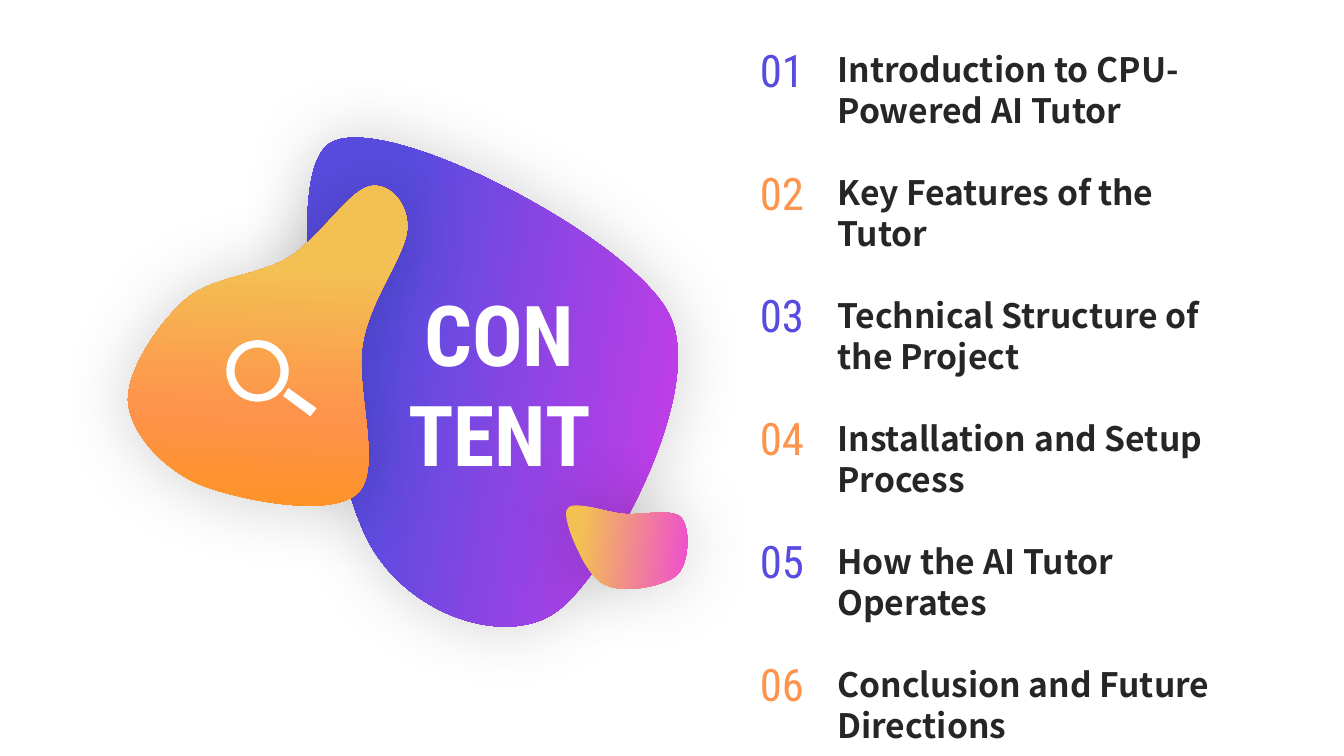
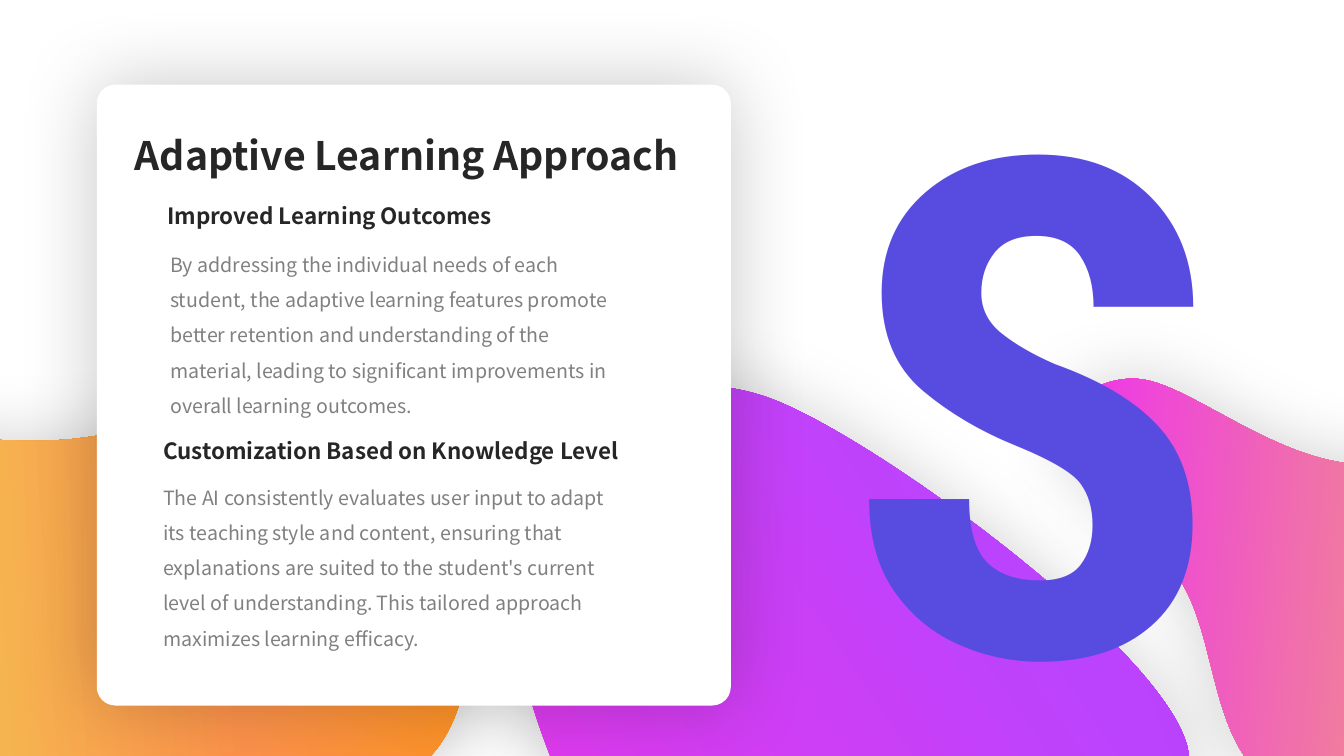
from dataclasses import dataclass
from math import cos, radians, sin

from lxml.etree import SubElement
from pptx import Presentation
from pptx.dml.color import RGBColor
from pptx.enum.shapes import MSO_SHAPE as Shape
from pptx.enum.text import MSO_AUTO_SIZE as Fit, PP_ALIGN as Align
from pptx.oxml.ns import qn
from pptx.util import Cm, Pt


@dataclass(frozen=True)
class Theme:
    blue: str = "584CE0"
    pink: str = "EE37E9"
    violet: str = "BB43FD"
    amber: str = "FF9409"
    coral: str = "FE934B"
    gold: str = "F3C053"
    ink: str = "262626"
    grey: str = "808080"
    white: str = "FFFFFF"
    body: str = "Noto Sans CJK SC"
    head: str = "Roboto Condensed"
    giant: int = 496
    cover: int = 60
    number: int = 32
    title: int = 28
    topic: int = 24
    sub: int = 16
    text: int = 14


T = Theme()
SUNSET = [(0, T.amber), (38, T.coral), (71, T.gold)]

TOPICS = [
    "Introduction to CPU-Powered AI Tutor",
    "Key Features of the Tutor",
    "Technical Structure of the Project",
    "Installation and Setup Process",
    "How the AI Tutor Operates",
    "Conclusion and Future Directions",
]

HEADING = "Adaptive Learning Approach"
POINTS = [
    ("Improved Learning Outcomes", (1.56, 1.96, 4.78, 0.37),
     "By addressing the individual needs of each student, the adaptive "
     "learning features promote better retention and understanding of the "
     "material, leading to significant improvements in overall learning "
     "outcomes.", (1.59, 2.34, 4.78, 1.68)),
    ("Customization Based on Knowledge Level", (1.52, 4.29, 5.33, 0.37),
     "The AI consistently evaluates user input to adapt its teaching style "
     "and content, ensuring that explanations are suited to the student's "
     "current level of understanding. This tailored approach maximizes "
     "learning efficacy.", (1.52, 4.65, 4.78, 1.68)),
]

COVER_BLOBS = [
    dict(at=(2.11, 1.68, 5.08, 3.77), turn=234.1, angle=315,
         stops=[(0, T.pink), (63, T.blue)],
         loop=[(3.63, 5.32),
               (3.25, 4.55, 2.76, 1.79, 3.26, 1.43),
               (3.76, 1.06, 6.26, 2.35, 6.64, 3.12),
               (7.02, 3.89, 6.03, 5.69, 5.53, 6.06),
               (5.03, 6.44, 4, 6.1, 3.63, 5.32)]),
    dict(at=(1.33, 2.31, 3.49, 2.58), turn=138.1, angle=135, stops=SUNSET,
         loop=[(4.04, 2.26),
               (4.03, 2.52, 3.68, 2.95, 3.6, 3.39),
               (3.51, 3.83, 3.81, 4.67, 3.54, 4.9),
               (3.27, 5.14, 2.37, 4.96, 1.99, 4.81),
               (1.61, 4.65, 1.3, 4.3, 1.27, 3.99),
               (1.25, 3.69, 1.56, 3.22, 1.83, 2.98),
               (2.09, 2.74, 2.56, 2.74, 2.87, 2.55),
               (3.17, 2.36, 3.46, 1.9, 3.66, 1.85),
               (3.85, 1.8, 4.05, 2.01, 4.04, 2.26)]),
    dict(at=(5.63, 4.8, 1.21, 1.04), turn=50.2, angle=315,
         stops=[(22, T.gold), (100, T.pink)],
         loop=[(6.2, 5.1),
               (6.39, 5.11, 6.68, 5.04, 6.76, 5.14),
               (6.85, 5.24, 6.84, 5.6, 6.71, 5.71),
               (6.58, 5.82, 6.16, 5.9, 5.98, 5.79),
               (5.8, 5.69, 5.58, 5.17, 5.62, 5.06),
               (5.66, 4.94, 6.01, 5.09, 6.2, 5.1)]),
]

LENS = dict(
    at=(2.26, 3.35, 0.82, 0.83), turn=350.7,
    loops=[[(2.86, 3.63),
            (2.83, 3.46, 2.67, 3.35, 2.51, 3.38),
            (2.34, 3.4, 2.22, 3.56, 2.25, 3.73),
            (2.28, 3.9, 2.44, 4.01, 2.61, 3.98),
            (2.77, 3.96, 2.89, 3.8, 2.86, 3.63)],
           [(2.59, 3.91),
            (2.47, 3.93, 2.35, 3.84, 2.33, 3.72),
            (2.31, 3.59, 2.39, 3.47, 2.52, 3.45),
            (2.64, 3.43, 2.76, 3.52, 2.78, 3.64),
            (2.8, 3.77, 2.72, 3.89, 2.59, 3.91)],
           [(3.14, 4.05), (3.08, 4.13), (2.81, 3.93), (2.86, 3.85),
            (3.14, 4.05)]])

WAVE_BLOBS = [
    dict(at=(4.73, 4.1, 7.16, 5.3), turn=10.8, angle=315,
         stops=[(0, T.pink), (71, T.violet)],
         loop=[(7.66, 3.96),
               (8.79, 4.39, 11.95, 6.74, 11.79, 7.6),
               (11.63, 8.46, 7.83, 9.55, 6.69, 9.13),
               (5.56, 8.7, 4.85, 5.9, 5, 5.04),
               (5.15, 4.18, 6.53, 3.53, 7.66, 3.96)]),
    dict(at=(-2.5, 2.52, 7.23, 6.21), turn=41.1, angle=135, stops=SUNSET,
         loop=[(0.67, 4.36),
               (1.81, 4.26, 3.45, 3.55, 4.06, 4.07),
               (4.66, 4.59, 4.97, 6.7, 4.3, 7.47),
               (3.63, 8.24, 1.22, 9.14, 0.04, 8.67),
               (-1.14, 8.2, -2.88, 5.38, -2.77, 4.66),
               (-2.67, 3.93, -0.47, 4.46, 0.67, 4.36)]),
    dict(at=(10.54, 3.27, 6, 4.44), turn=49.6, angle=135,
         stops=[(13, T.gold), (88, T.pink)],
         loop=[(11.29, 3.76),
               (11.73, 3.79, 12.45, 4.41, 13.21, 4.57),
               (13.96, 4.74, 15.42, 4.26, 15.81, 4.74),
               (16.21, 5.21, 15.85, 6.76, 15.57, 7.4),
               (15.29, 8.05, 14.67, 8.57, 14.14, 8.6),
               (13.62, 8.63, 12.82, 8.07, 12.42, 7.6),
               (12.02, 7.13, 12.04, 6.32, 11.73, 5.79),
               (11.42, 5.25, 10.64, 4.73, 10.57, 4.39),
               (10.49, 4.06, 10.85, 3.73, 11.29, 3.76)]),
]


def unit(n):
    return Cm(n * 2.54)


def node(up, tag, **attrs):
    return SubElement(up, qn(tag), {k: str(v) for k, v in attrs.items()})


def glow(shape, alpha, blur):
    box = shape._element.spPr.find(qn("a:effectLst"))
    cast = node(box, "a:outerShdw", blurRad=Pt(blur), dist=0, dir=0,
                algn="ctr", rotWithShape=0)
    tint = node(cast, "a:srgbClr", val="000000")
    node(tint, "a:alpha", val=alpha * 1000)


def shade(shape, stops, angle):
    shape.fill.gradient()
    grad = shape._element.spPr.find(qn("a:gradFill"))
    for kid in list(grad):
        grad.remove(kid)
    grad.set("rotWithShape", "1")
    line = node(grad, "a:gsLst")
    for place, color in stops:
        stop = node(line, "a:gs", pos=place * 1000)
        node(stop, "a:srgbClr", val=color)
    node(grad, "a:lin", ang=angle * 60000, scaled=0)


def paint(shape, color):
    shape.fill.solid()
    shape.fill.fore_color.rgb = RGBColor.from_string(color)


def bare(shape):
    shape.line.fill.background()
    shape.shadow.inherit = False


def outline(slide, at, turn, loops):
    left, top, wide, high = at
    c, s = cos(radians(turn)), sin(radians(turn))

    def local(x, y):
        dx, dy = x - left - wide / 2, y - top - high / 2
        return (unit(dx * c + dy * s + wide / 2),
                unit(dy * c - dx * s + high / 2))

    pen = slide.shapes.build_freeform(*local(*loops[0][0]), scale=1.0)
    pen.add_line_segments([local(*p[-2:]) for p in loops[0][1:]])
    shape = pen.convert_to_shape()
    shape.left, shape.top, shape.width, shape.height = map(unit, at)
    shape.rotation = turn
    trail = next(shape._element.iter(qn("a:path")))
    trail.set("w", str(unit(wide)))
    trail.set("h", str(unit(high)))
    for kid in list(trail):
        trail.remove(kid)
    for loop in loops:
        for i, spot in enumerate(loop):
            tag = "cubicBezTo" if len(spot) == 6 else "lnTo"
            step = node(trail, "a:" + (tag if i else "moveTo"))
            for x, y in zip(spot[::2], spot[1::2]):
                px, py = local(x, y)
                node(step, "a:pt", x=px, y=py)
        node(trail, "a:close")
    bare(shape)
    return shape


def blob(slide, at, turn, angle, stops, loop):
    shape = outline(slide, at, turn, [loop])
    shade(shape, stops, angle)
    glow(shape, 18, 51)


def write(home, at, lines, size, color, face=T.body, bold=False,
          align=None, gap=None):
    frame = home.shapes.add_textbox(*map(unit, at)).text_frame
    frame.word_wrap = True
    frame.auto_size = Fit.SHAPE_TO_FIT_TEXT
    frame.text = lines
    for para in frame.paragraphs:
        para.alignment = align
        para.line_spacing = gap
        font = para.font
        font.name, font.size, font.bold = face, Pt(size), bold
        font.color.rgb = RGBColor.from_string(color)


def contents(slide):
    for item in COVER_BLOBS:
        blob(slide, **item)
    paint(outline(slide, **LENS), T.white)
    write(slide, (3.64, 2.75, 2.63, 2.12), "CON\nTENT", T.cover, T.white,
          T.head, True, Align.CENTER)
    for i, topic in enumerate(TOPICS):
        row = slide.shapes.add_group_shape()
        top = 0.37 + i * 1.22
        write(row, (8.21, top + 0.07, 4.08, 0.56), topic, T.topic, T.ink,
              bold=True)
        write(row, (7.44, top, 1.01, 0.64), f"{i + 1:02}", T.number,
              (T.blue, T.coral)[i % 2], T.head)


def approach(slide):
    for item in WAVE_BLOBS:
        blob(slide, **item)
    write(slide, (7.14, -0.44, 6.2, 8.45), "S", T.giant, T.blue, T.head,
          True, Align.CENTER)
    spot = map(unit, (0.96, 0.84, 6.29, 6.16))
    card = slide.shapes.add_shape(Shape.ROUNDED_RECTANGLE, *spot)
    card.adjustments[0] = 0.03
    paint(card, T.white)
    bare(card)
    glow(card, 22, 58)
    write(slide, (1.24, 1.25, 5.97, 0.57), HEADING, T.title, T.ink,
          bold=True)
    for name, spot, text, area in POINTS:
        write(slide, area, text, T.text, T.grey, gap=1.5)
        write(slide, spot, name, T.sub, T.ink, bold=True)


def main():
    deck = Presentation()
    deck.slide_width, deck.slide_height = unit(13.333), unit(7.5)
    for build in (contents, approach):
        build(deck.slides.add_slide(deck.slide_layouts[6]))
    deck.save("out.pptx")


if __name__ == "__main__":
    main()
